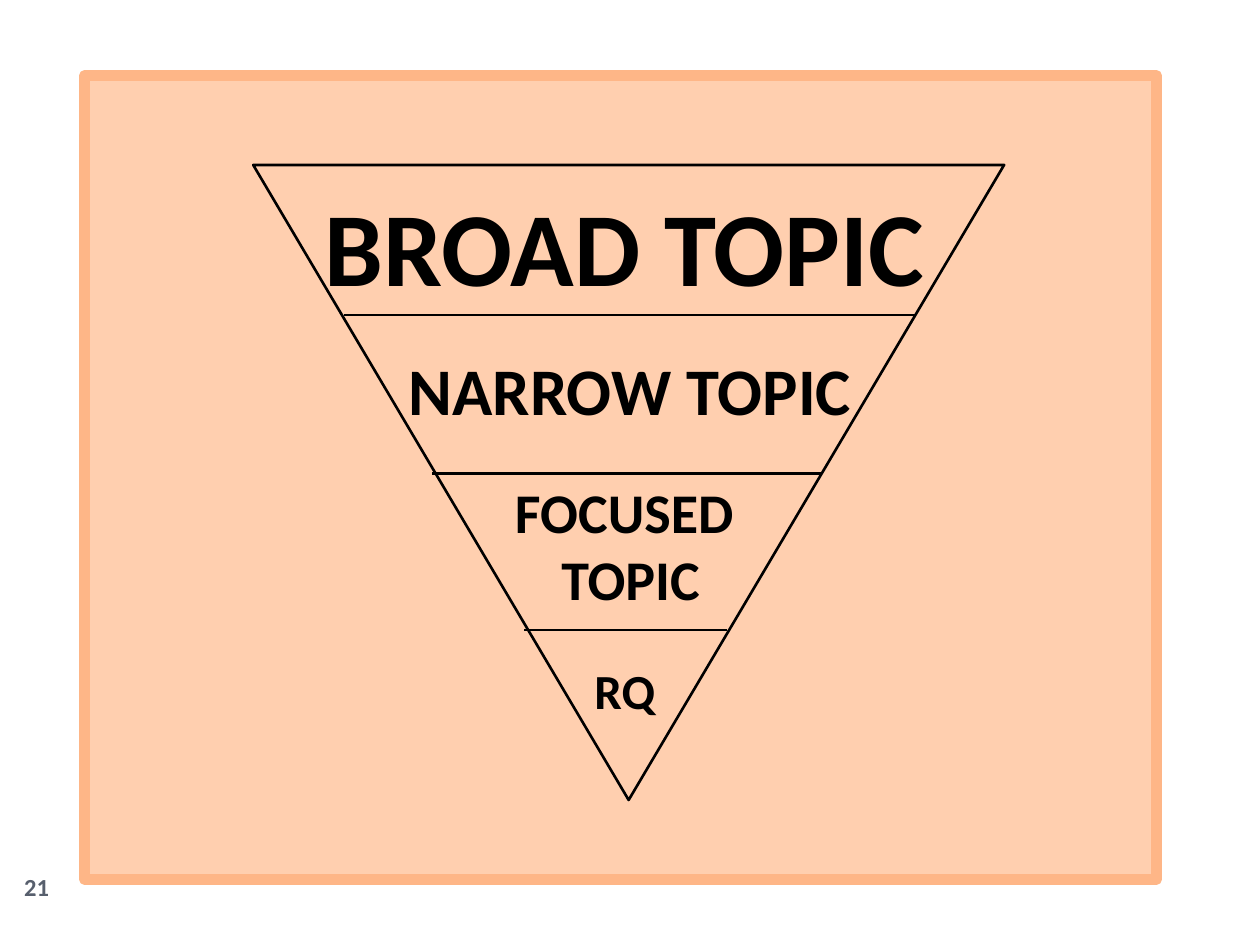
import pptx
import pptx.util
from pptx.dml.color import RGBColor
from pptx.enum.shapes import MSO_CONNECTOR, MSO_SHAPE
from pptx.enum.text import MSO_ANCHOR, PP_ALIGN
from pptx.oxml.ns import qn
from pptx.util import Inches
from lxml import etree

BLACK = "000000"


def color(hex_string):
    return RGBColor.from_string(hex_string)


class FunnelSlide:
    font = "Calibri"
    line_width = 1.5

    def __init__(self, deck):
        self.page = deck.slides.add_slide(deck.slide_layouts[6])

    def shape(self, kind, left, top, width, height, line, line_width, fill=None):
        shape = self.page.shapes.add_shape(
            kind, Inches(left), Inches(top), Inches(width), Inches(height))
        shape.shadow.inherit = False
        if fill:
            shape.fill.solid()
            shape.fill.fore_color.rgb = color(fill)
        else:
            shape.fill.background()
        shape.line.color.rgb = color(line)
        shape.line.width = pptx.util.Pt(line_width)
        return shape

    def funnel(self, left, top, width, height):
        """Draw an outlined triangle that points down."""
        triangle = self.shape(MSO_SHAPE.ISOSCELES_TRIANGLE, left, top, width,
                              height, BLACK, self.line_width)
        triangle.element.spPr.find(qn("a:xfrm")).set("flipV", "1")

    def divider(self, left, right, y):
        line = self.page.shapes.add_connector(
            MSO_CONNECTOR.STRAIGHT, Inches(left), Inches(y), Inches(right), Inches(y))
        line.line.color.rgb = color(BLACK)
        line.line.width = pptx.util.Pt(self.line_width)
        etree.SubElement(line.element.spPr, qn("a:effectLst"))

    def label(self, text, left, top, width, height, size, ink=BLACK,
              align=PP_ALIGN.CENTER, anchor=MSO_ANCHOR.TOP):
        box = self.page.shapes.add_textbox(
            Inches(left), Inches(top), Inches(width), Inches(height))
        frame = box.text_frame
        frame.word_wrap = True
        frame.vertical_anchor = anchor
        frame.text = text
        for para in frame.paragraphs:
            para.alignment = align
            for span in para.runs:
                span.font.name = self.font
                span.font.size = pptx.util.Pt(size)
                span.font.bold = True
                span.font.color.rgb = color(ink)


def main():
    deck = pptx.Presentation()
    deck.slide_width, deck.slide_height = Inches(10), Inches(7.5)
    slide = FunnelSlide(deck)

    slide.label("21", 0, 6.83, 0.58, 0.42, 14, "575F6D", anchor=MSO_ANCHOR.MIDDLE)
    slide.shape(MSO_SHAPE.RECTANGLE, 0.67, 0.6, 8.51, 6.38, "FEB687", 6, "FFCFAF")
    slide.funnel(2.01, 1.31, 5.96, 5.04)
    for left, right, y in [(2.73, 7.26, 2.5), (3.43, 6.52, 3.76), (4.16, 5.77, 5)]:
        slide.divider(left, right, y)

    slide.label("BROAD TOPIC", 2.24, 1.39, 5.43, 1.05, 60)
    slide.label("NARROW TOPIC", 2.68, 2.72, 4.64, 1.39, 38)
    slide.label("FOCUSED \nTOPIC", 3.18, 3.74, 3.65, 1.3, 32)
    slide.label("RQ", 4.62, 5.19, 0.76, 0.66, 28, align=PP_ALIGN.LEFT)

    deck.save("out.pptx")


if __name__ == "__main__":
    main()
